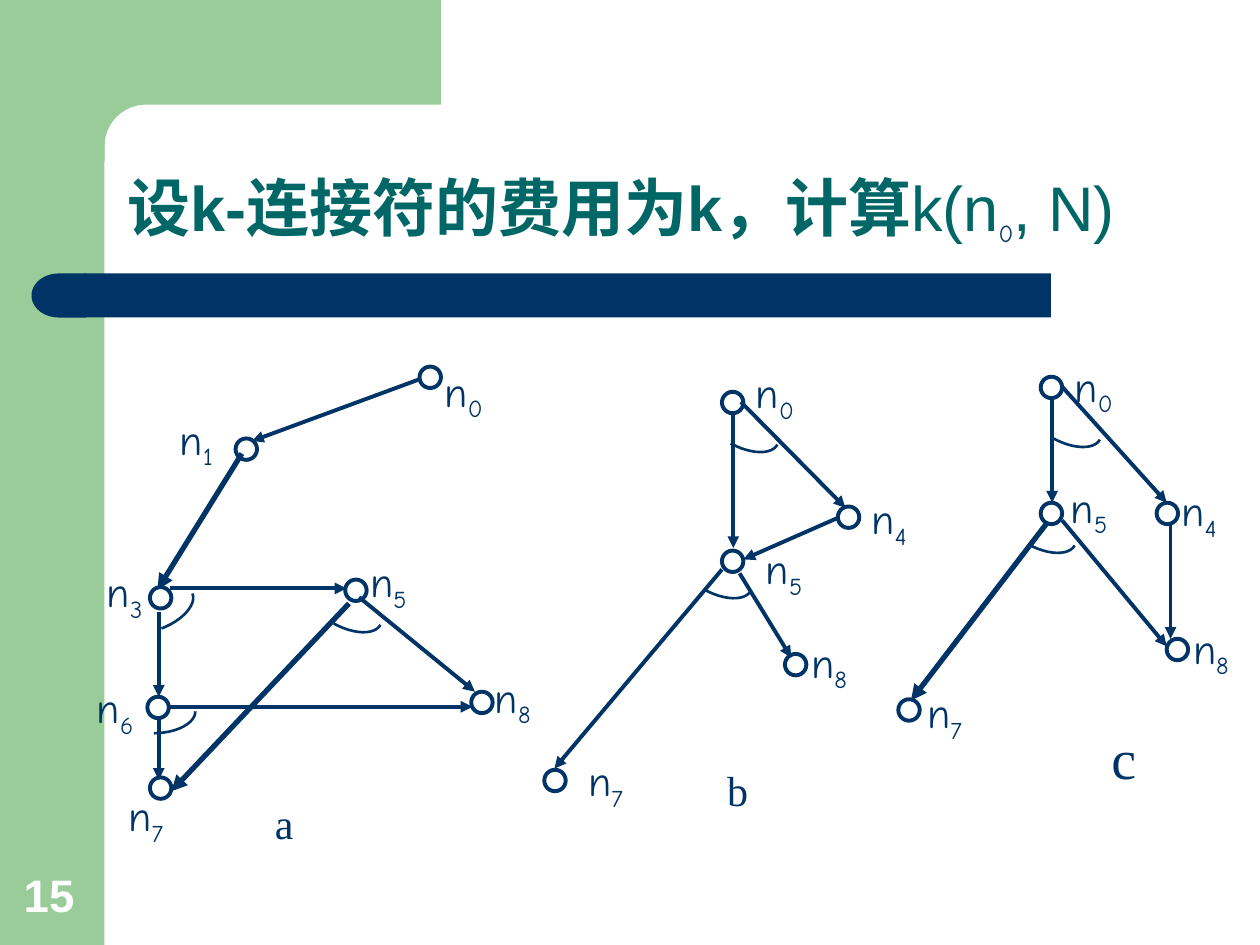
from math import cos, pi, sin

from lxml.etree import SubElement
from pptx import Presentation
from pptx.dml.color import RGBColor as RGB
from pptx.enum.shapes import MSO_CONNECTOR as Link, MSO_SHAPE as Kind
from pptx.enum.text import MSO_ANCHOR as Anchor, PP_ALIGN as Align
from pptx.oxml.ns import qn
from pptx.util import Inches, Pt


class Theme:
    green = RGB(0x99, 0xCC, 0x99)
    navy = RGB(0x00, 0x33, 0x66)
    teal = RGB(0x00, 0x66, 0x66)
    white = RGB(0xFF, 0xFF, 0xFF)
    thin, line, bold = Pt(1.5), Pt(2.25), Pt(3)
    title = {"name": "Arial", "size": Pt(36), "bold": True}
    plain = {"name": "Arial", "size": Pt(36), "bold": False}
    page = {"name": "Arial", "size": Pt(26), "bold": True}
    node = {"name": "Comic Neue", "size": Pt(24), "bold": False}
    mark = {"name": "Times New Roman", "size": Pt(24)}
    large = {"name": "Times New Roman", "size": Pt(32)}


def draw(shapes, kind, box, fill=None, width=None):
    """Add a preset shape, either filled or outlined in navy."""
    shape = shapes.add_shape(kind, *map(Inches, box))
    shape.shadow.inherit = False
    if fill is None:
        shape.fill.background()
        shape.line.color.rgb = Theme.navy
        shape.line.width = width
    else:
        shape.fill.solid()
        shape.fill.fore_color.rgb = fill
        shape.line.fill.background()
    return shape


def write(shapes, box, runs, anchor=Anchor.TOP, align=Align.LEFT):
    """Add a text box; each run is (text, style, colour, is subscript)."""
    frame = shapes.add_textbox(*map(Inches, box)).text_frame
    frame.word_wrap = True
    frame.vertical_anchor = anchor
    par = frame.paragraphs[0]
    par.alignment = align
    for text, style, color, sub in runs:
        run = par.add_run()
        run.text = text
        for name, value in style.items():
            setattr(run.font, name, value)
        run.font.color.rgb = color
        if sub:
            run.font._element.set("baseline", "-25000")
    return par


deck = Presentation()
deck.slide_width, deck.slide_height = Inches(10), Inches(7.5)
slide = deck.slides.add_slide(deck.slide_layouts[6])
shapes = slide.shapes

# Frame: side band, top block with a rounded inner corner, title bar
draw(shapes, Kind.RECTANGLE, (0, 0, 0.83, 7.5), Theme.green)
turns = [pi / 2 * i / 12 for i in range(13)]
curve = [(1.16 - 0.33 * sin(t), 1.16 - 0.33 * cos(t)) for t in turns]
edge = [(3.5, 0), (3.5, 0.83), *curve, (0.83, 1.28), (0.5, 1.28)]
pen = shapes.build_freeform(Inches(0.5), 0)
pen.add_line_segments([(Inches(x), Inches(y)) for x, y in edge])
block = pen.convert_to_shape()
block.shadow.inherit = False
block.fill.solid()
block.fill.fore_color.rgb = Theme.green
block.line.fill.background()
draw(shapes, Kind.RECTANGLE, (0.67, 2.17, 7.67, 0.35), Theme.navy)
cap = draw(shapes, Kind.FLOWCHART_DELAY, (0.25, 2.17, 0.43, 0.35), Theme.navy)
cap.rotation = 180

write(shapes, (0.09, 6.83, 0.64, 0.53),
      [("15", Theme.page, Theme.white, False)], Anchor.BOTTOM)
title = write(shapes, (0.91, 0.91, 8.51, 1.09), [
    ("设k-连接符的费用为k，计算", Theme.title, Theme.teal, False),
    ("k(n", Theme.plain, Theme.teal, False),
    ("0", Theme.node, Theme.navy, True),
    (", N)", Theme.plain, Theme.teal, False),
], Anchor.BOTTOM)
title.line_spacing = 0.9

# nodes: number, circle left and top, label left and top
# edges: from x, y, to x, y, width; arcs: centre x, y, rotation
graphs = [
    {
        "nodes": [
            ("0", 3.33, 2.91, 3.43, 2.85), ("1", 1.87, 3.48, 1.33, 3.23),
            ("3", 1.19, 4.66, 0.75, 4.44), ("5", 2.74, 4.6, 2.84, 4.36),
            ("6", 1.17, 5.53, 0.67, 5.36), ("8", 3.74, 5.49, 3.83, 5.28),
            ("7", 1.19, 6.17, 0.92, 6.22),
        ],
        "edges": [
            (3.33, 3.01, 2, 3.5, Theme.line),
            (1.92, 3.6, 1.25, 4.68, Theme.bold),
            (1.26, 4.86, 1.26, 5.53, Theme.line),
            (1.35, 4.67, 2.75, 4.67, Theme.line),
            (1.34, 5.61, 3.75, 5.61, Theme.line),
            (2.85, 4.74, 3.77, 5.49, Theme.line),
            (2.77, 4.79, 1.36, 6.28, Theme.bold),
            (1.26, 5.69, 1.26, 6.19, Theme.line),
        ],
        "arcs": [(1.22, 4.83, 68.9), (1.22, 5.65, 89.4), (2.73, 4.8, 118.9)],
        "mark": ("a", (1.67, 6.28, 1.17, 0.5), Theme.mark),
    },
    {
        "nodes": [
            ("0", 5.73, 3.11, 5.9, 2.86), ("4", 6.65, 4.02, 6.82, 3.86),
            ("5", 5.73, 4.37, 5.98, 4.26), ("7", 4.32, 6.11, 4.57, 5.94),
            ("8", 6.23, 5.19, 6.34, 5),
        ],
        "edges": [
            (5.82, 3.27, 5.82, 4.35, Theme.line),
            (5.88, 3.19, 6.71, 4.03, Theme.line),
            (6.65, 4.11, 5.9, 4.44, Theme.line),
            (5.73, 4.52, 4.4, 6.1, Theme.line),
            (5.87, 4.55, 6.28, 5.22, Theme.line),
        ],
        "arcs": [(5.88, 3.37, 118.9), (5.67, 4.53, 118.9)],
        "mark": ("b", (5.48, 6.02, 0.75, 0.5), Theme.mark),
    },
    {
        "nodes": [
            ("0", 8.26, 2.99, 8.43, 2.81), ("5", 8.26, 3.99, 8.4, 3.77),
            ("4", 9.18, 3.99, 9.28, 3.8), ("7", 7.13, 5.55, 7.26, 5.4),
            ("8", 9.26, 5.07, 9.37, 4.89),
        ],
        "edges": [
            (8.35, 3.15, 8.35, 3.99, Theme.line),
            (8.43, 3.07, 9.26, 3.99, Theme.line),
            (8.31, 4.15, 7.23, 5.56, Theme.bold),
            (8.43, 4.13, 9.26, 5.13, Theme.line),
            (9.29, 4.15, 9.29, 5.07, Theme.line),
        ],
        "arcs": [(8.24, 4.17, 118.9), (8.44, 3.33, 118.9)],
        "mark": ("c", (8.38, 5.69, 1.08, 0.64), Theme.large),
    },
]

for graph in graphs:
    group = shapes.add_group_shape().shapes
    for *ends, width in graph["edges"]:
        arrow = group.add_connector(Link.STRAIGHT, *map(Inches, ends))
        arrow.line.color.rgb = Theme.navy
        arrow.line.width = width
        SubElement(arrow.line._get_or_add_ln(), qn("a:tailEnd"), type="triangle")
        SubElement(arrow._element.spPr, qn("a:effectLst"))
    for x, y, angle in graph["arcs"]:
        arc = draw(group, Kind.ARC, (x - 0.17, y - 0.33, 0.34, 0.66),
                   width=Theme.thin)
        arc.rotation = angle
    for num, x, y, left, top in graph["nodes"]:
        draw(group, Kind.OVAL, (x, y, 0.17, 0.17), width=Theme.line)
        write(group, (left, top, 0.75, 0.56),
              [("n", Theme.node, Theme.navy, False),
               (num, Theme.node, Theme.navy, True)])
    text, box, style = graph["mark"]
    write(group, box, [(text, style, Theme.navy, False)], align=Align.CENTER)

deck.save("out.pptx")
